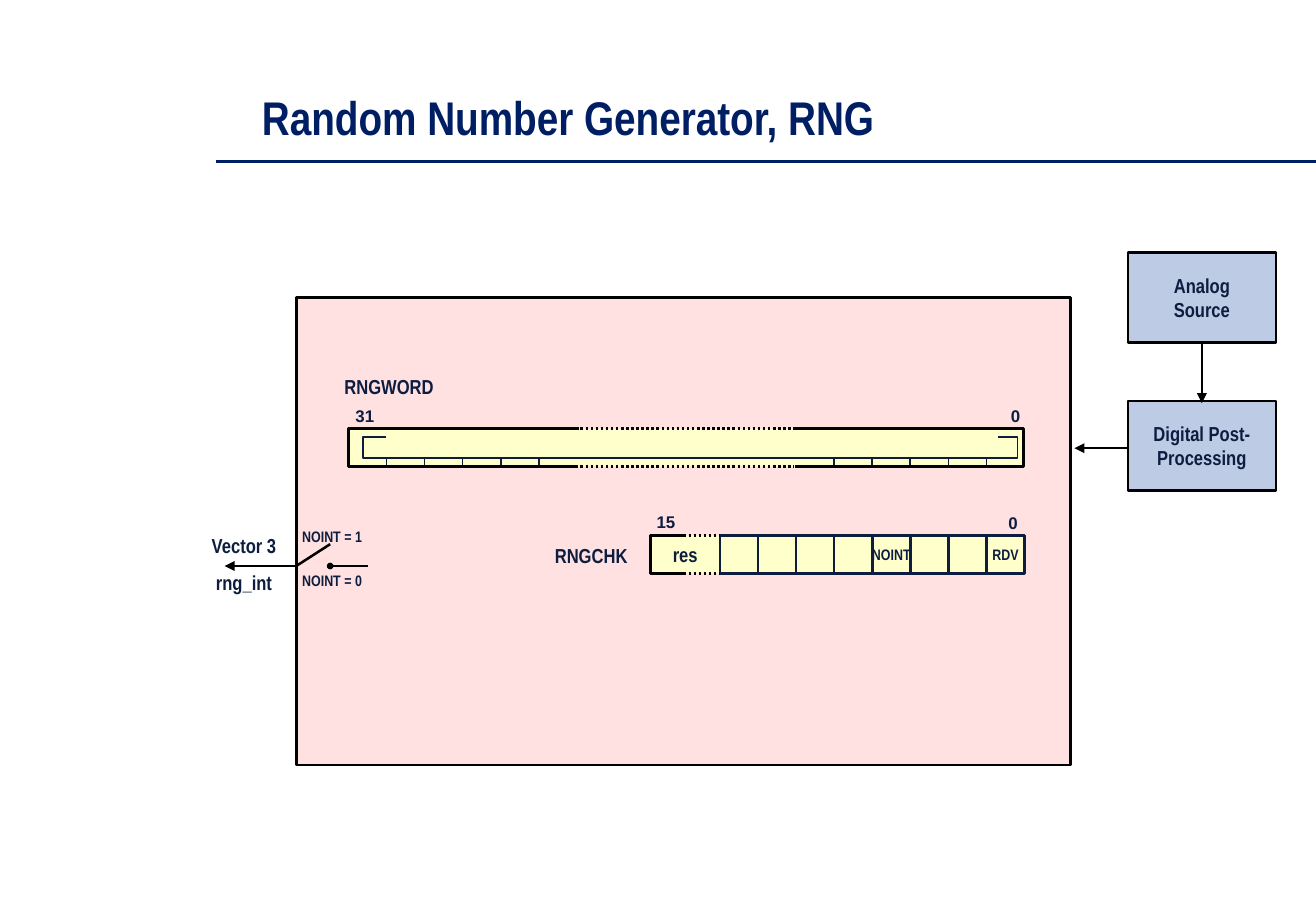
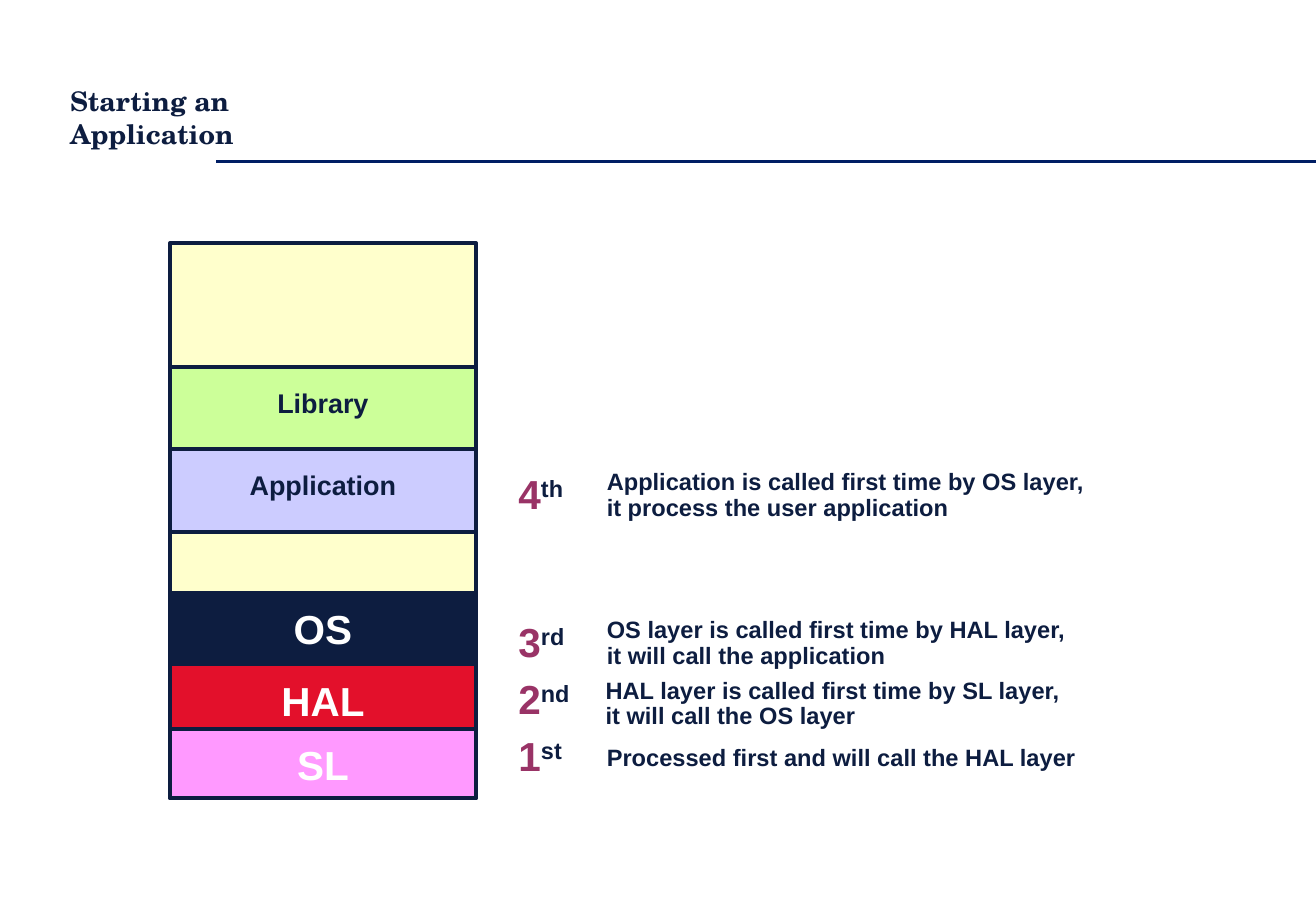
"""Builds two slides: the random number generator and the application start order."""
from copy import deepcopy

from lxml import etree
from pptx import Presentation
from pptx.dml.color import RGBColor
from pptx.enum.dml import MSO_LINE
from pptx.enum.shapes import MSO_CONNECTOR, MSO_SHAPE
from pptx.enum.text import MSO_ANCHOR, PP_ALIGN
from pptx.oxml.ns import qn
from pptx.util import Inches, Pt

LEFT, CENTER = PP_ALIGN.LEFT, PP_ALIGN.CENTER
TOP, MIDDLE = MSO_ANCHOR.TOP, MSO_ANCHOR.MIDDLE
DOTS = MSO_LINE.ROUND_DOT
RECT, STRAIGHT = MSO_SHAPE.RECTANGLE, MSO_CONNECTOR.STRAIGHT

W, H = 10.84, 7.5
COLORS = {
    "rule": "001E64", "ink": "0D1D40", "black": "000000", "white": "FFFFFF",
    "pink": "FFE1E1", "blue": "BDCBE4", "cream": "FFFFCC", "plum": "993366",
    "magenta": "FF99FF", "red": "E3102B", "lilac": "CCCCFF", "green": "CCFF99",
}
SANS, NARROW, SERIF = "Arial", "Arial Narrow", "TeX Gyre Schola"
TIPS = {
    "triangle": {"type": "triangle"},
    "oval": {"type": "oval", "w": "sm", "len": "sm"},
}

SOURCES = [("Analog\vSource", 2.08), ("Digital Post-\vProcessing", 3.3)]
SOURCE_X, SOURCE_W, SOURCE_H = 9.29, 1.22, 0.74
BIT_LABELS = [("31", 2.83, 3.29, 0.35), ("0", 8.23, 3.29, 0.27),
              ("15", 5.31, 4.16, 0.35), ("0", 8.21, 4.17, 0.27)]
LABELS = [
    (["RNGWORD"], (2.74, 3.03, 0.93, 0.3), 12),
    (["RNGCHK"], (4.47, 4.42, 0.8, 0.3), 12),
    (["Vector 3", "rng_int"], (1.64, 4.34, 0.74, 0.61), 12),
    (["NOINT = 1"], (2.39, 4.29, 0.69, 0.25), 9),
    (["NOINT = 0"], (2.39, 4.65, 0.69, 0.25), 9),
]
CHECK_BITS = ["", "", "", "", "NOINT", "", "", "RDV"]
REG_X, REG_RIGHT, REG_H = 2.87, 8.43, 0.31
WORD_Y, CHECK_X, CHECK_Y, BITS_X = 3.53, 5.36, 4.41, 5.93
PITCH = (8.44 - BITS_X) / len(CHECK_BITS)
ARROWS = [
    ((9.29, 3.69), (8.85, 3.69), "triangle"),
    ((9.9, 2.83), (9.9, 3.32), "triangle"),
    ((3.03, 4.66), (2.72, 4.66), "oval"),
    ((2.45, 4.66), (1.85, 4.66), "triangle"),
    ((2.44, 4.66), (2.72, 4.48), None),
]

STACK_X, STACK_Y, STACK_W, STACK_H = 1.4, 2, 2.52, 4.57
LAYERS = [
    ("SL", 6, 0.57, "magenta", "white", 24, 0.09),
    ("HAL", 5.46, 0.54, "red", "white", 24, 0.11),
    ("OS", 4.88, 0.59, "ink", "white", 24, 0.09),
    ("Application", 3.7, 0.68, "lilac", "ink", 16, 0.16),
    ("Library", 3.02, 0.68, "green", "ink", 16, 0.16),
]
STEPS = [
    ("4", "th", 3.81, 0.57, (4.9, 3.82, 4.14, 0.52),
     "Application is called first time by OS layer,\vit process the user application"),
    ("3", "rd", 5.03, 0.58, (4.9, 5.04, 3.99, 0.52),
     "OS layer is called first time by HAL layer,\vit will call the application"),
    ("2", "nd", 5.5, 0.62, (4.89, 5.54, 3.96, 0.52),
     "HAL layer is called first time by SL layer,\vit will call the OS layer"),
    ("1", "st", 5.97, 0.56, (4.9, 6.06, 4.07, 0.34),
     "Processed first and will call the HAL layer"),
]


def rgb(name):
    return RGBColor.from_string(COLORS[name])


def style_run(r, size, font, color):
    for key, value in {"size": Pt(size), "name": font, "bold": True}.items():
        setattr(r.font, key, value)
    r.font.color.rgb = rgb(color)


def write(sp, paras, size, font=SANS, color="ink", align=CENTER, anchor=MIDDLE,
          wrap=False, gap=0, spacing=None):
    tf = sp.text_frame
    tf.word_wrap, tf.vertical_anchor = wrap, anchor
    if align == CENTER:
        tf.margin_left = tf.margin_right = 0
    for i, words in enumerate(paras):
        p = tf.add_paragraph() if i else tf.paragraphs[0]
        p.text, p.alignment = words, align
        if i:
            p.space_before = Pt(gap)
        if spacing:
            p.line_spacing = spacing
        for r in p.runs:
            style_run(r, size, font, color)
        for br in p._p.findall(qn("a:br")):
            br.append(deepcopy(p.runs[0]._r.rPr))
    return tf


def text(s, box, paras, size, **style):
    sp = s.shapes.add_textbox(*map(Inches, box))
    return write(sp, paras, size, **style)


def outline(sp, color, width):
    sp.line.color.rgb = rgb(color)
    sp.line.width = Pt(width)


def rect(s, box, fill, line=None, width=1.5):
    sp = s.shapes.add_shape(RECT, *map(Inches, box))
    sp.shadow.inherit = False
    sp.fill.solid()
    sp.fill.fore_color.rgb = rgb(fill)
    if line:
        outline(sp, line, width)
    else:
        sp.line.fill.background()
    return sp


def line(s, start, end, color="black", width=1.5, dash=None, tip=None):
    c = s.shapes.add_connector(STRAIGHT, *map(Inches, start + end))
    outline(c, color, width)
    if dash:
        c.line.dash_style = dash
    if tip:
        etree.SubElement(c.line._get_or_add_ln(), qn("a:tailEnd"), TIPS[tip])
    etree.SubElement(c._element.spPr, qn("a:effectLst"))


def polyline(s, points, color="black", width=1.5):
    first, *rest = [(Inches(x), Inches(y)) for x, y in points]
    fb = s.shapes.build_freeform(*first)
    fb.add_line_segments(rest, close=False)
    sp = fb.convert_to_shape()
    sp.shadow.inherit = False
    sp.fill.background()
    outline(sp, color, width)


def bracket(s, x, end_top, end_bottom, y):
    polyline(s, [(end_top, y), (x, y), (x, y + REG_H), (end_bottom, y + REG_H)])


def dotted_edges(s, x1, x2, y):
    for edge in (y, y + REG_H):
        line(s, (x1, edge), (x2, edge), dash=DOTS)


def new_slide(prs, title, box, **style):
    s = prs.slides.add_slide(prs.slide_layouts[6])
    line(s, (1.78, 1.33), (W, 1.33), "rule", 1.75)
    text(s, box, [title], align=LEFT, anchor=TOP, **style)
    return s


def word_register(s):
    rect(s, (REG_X, WORD_Y, REG_RIGHT - REG_X, REG_H), "cream")
    inner = 3.77
    polyline(s, [(3.18, 3.6), (2.99, 3.6), (2.99, inner),
                 (8.38, inner), (8.38, 3.6), (8.22, 3.6)], "ink", 1)
    ticks = [REG_X + PITCH * i for i in range(1, 6)]
    ticks += [BITS_X + PITCH * i for i in range(3, 8)]
    for x in ticks:
        line(s, (x, inner), (x, WORD_Y + REG_H), "ink", 1)
    bracket(s, REG_X, 4.77, 4.75, WORD_Y)
    dotted_edges(s, 4.74, 6.54, WORD_Y)
    bracket(s, REG_RIGHT, 6.54, 6.55, WORD_Y)


def check_register(s):
    sp = rect(s, (CHECK_X, CHECK_Y, BITS_X - CHECK_X, REG_H), "cream")
    write(sp, ["res"], 12, font=NARROW)
    for i, name in enumerate(CHECK_BITS):
        sp = rect(s, (BITS_X + i * PITCH, CHECK_Y, PITCH, REG_H), "cream", "ink")
        if name:
            write(sp, [name], 9, font=NARROW)
    bracket(s, CHECK_X, 5.63, 5.65, CHECK_Y)
    dotted_edges(s, 5.63, BITS_X, CHECK_Y)


def generator_slide(prs):
    s = new_slide(prs, "Random Number Generator, RNG", (2.06, 0.68, 5.26, 0.57),
                  size=28, font=NARROW, color="rule")
    rect(s, (2.44, 2.45, 6.38, 3.85), "pink", "black")
    for name, y in SOURCES:
        sp = rect(s, (SOURCE_X, y, SOURCE_W, SOURCE_H), "blue", "black")
        write(sp, [name], 12, font=NARROW)
    check_register(s)
    word_register(s)
    for number, x, y, w in BIT_LABELS:
        text(s, (x, y, w, 0.27), [number], 10)
    for start, end, tip in ARROWS:
        line(s, start, end, tip=tip)
    for paras, box, size in LABELS:
        text(s, box, paras, size, font=NARROW, gap=7.5)


def start_slide(prs):
    s = new_slide(prs, "Starting an Application", (0.48, 0.65, 2.81, 0.63),
                  size=16, font=SERIF, wrap=True)
    for number, suffix, y, w, box, words in STEPS:
        text(s, box, [words], 14, align=LEFT, spacing=0.9 if "\v" in words else None)
        tf = text(s, (4.17, y, w, 0.5), [number], 24, color="plum")
        r = tf.paragraphs[0].add_run()
        r.text = suffix
        style_run(r, 24, SANS, "ink")
        r._r.get_or_add_rPr().set("baseline", "30000")
    rect(s, (STACK_X, STACK_Y, STACK_W, STACK_H), "cream", "ink", 2.25)
    for name, y, h, fill, color, size, inset in LAYERS:
        sp = rect(s, (STACK_X, y, STACK_W, h), fill, "ink", 2.25)
        tf = write(sp, [name], size, color=color, anchor=TOP, wrap=True)
        tf.margin_top = Inches(inset)


def main():
    prs = Presentation()
    prs.slide_width, prs.slide_height = Inches(W), Inches(H)
    generator_slide(prs)
    start_slide(prs)
    prs.save("out.pptx")


if __name__ == "__main__":
    main()
